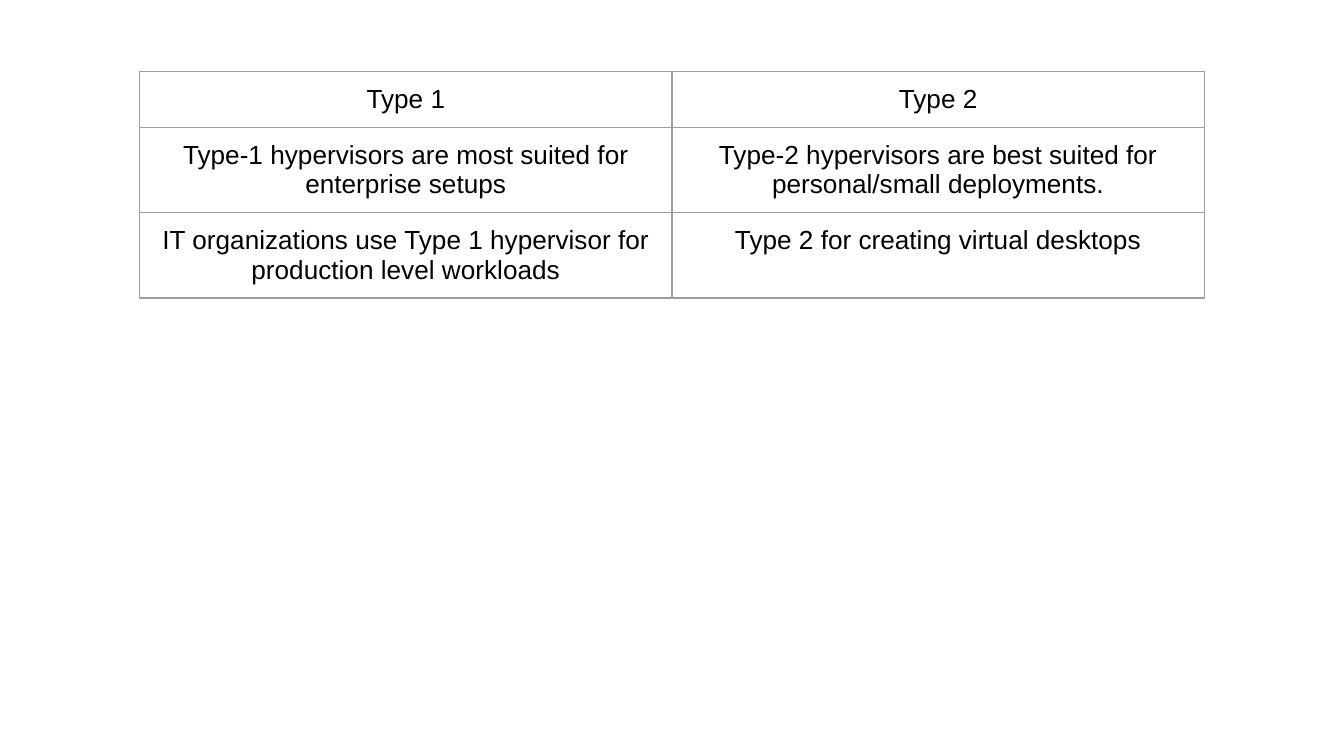
"""Build a slide with a table comparing Type 1 and Type 2 hypervisors."""
from lxml import etree
from pptx import Presentation
from pptx import util as u
from pptx.dml.color import RGBColor
from pptx.enum import text
from pptx.oxml.ns import qn

ROWS = [
    ("Type 1", "Type 2"),
    ("Type-1 hypervisors are most suited for enterprise setups",
     "Type-2 hypervisors are best suited for personal/small deployments."),
    ("IT organizations use Type 1 hypervisor for production level workloads",
     "Type 2 for creating virtual desktops"),
]
COLORS = {"text": "000000", "border": "9E9E9E"}
LEFT, TOP = u.Cm(2.64), u.Cm(1.35)
COL_WIDTH, ROW_HEIGHT = u.Cm(10.06), u.Cm(1.06)
BORDER = u.Pt(0.75)
FONT = {"name": "Arial", "size": u.Pt(14)}
MARGINS = {f"margin_{side}": u.Cm(0.25) for side in ("left", "right", "top", "bottom")}


def format_values(obj, values):
    for name, value in values.items():
        setattr(obj, name, value)


def add_borders(cell):
    props = cell._tc.get_or_add_tcPr()
    for side in ("lnL", "lnR", "lnT", "lnB"):
        line = etree.SubElement(props, qn(f"a:{side}"), w=str(BORDER))
        fill = etree.SubElement(line, qn("a:solidFill"))
        etree.SubElement(fill, qn("a:srgbClr"), val=COLORS["border"])


def fill_cell(cell, wording):
    format_values(cell, MARGINS)
    add_borders(cell)
    cell.fill.background()
    p = cell.text_frame.paragraphs[0]
    p.alignment = text.PP_ALIGN.CENTER
    r = p.add_run()
    r.text = wording
    format_values(r.font, FONT)
    r.font.color.rgb = RGBColor.from_string(COLORS["text"])


def main():
    prs = Presentation()
    prs.slide_width, prs.slide_height = u.Cm(25.4), u.Cm(14.29)
    s = prs.slides.add_slide(prs.slide_layouts[6])
    n_rows, n_cols = len(ROWS), len(ROWS[0])
    table = s.shapes.add_table(n_rows, n_cols, LEFT, TOP,
                               COL_WIDTH * n_cols, ROW_HEIGHT * n_rows).table
    format_values(table, {"first_row": False, "horz_banding": False})
    for i, row in enumerate(ROWS):
        for j, wording in enumerate(row):
            fill_cell(table.cell(i, j), wording)
    prs.save("out.pptx")


if __name__ == "__main__":
    main()
